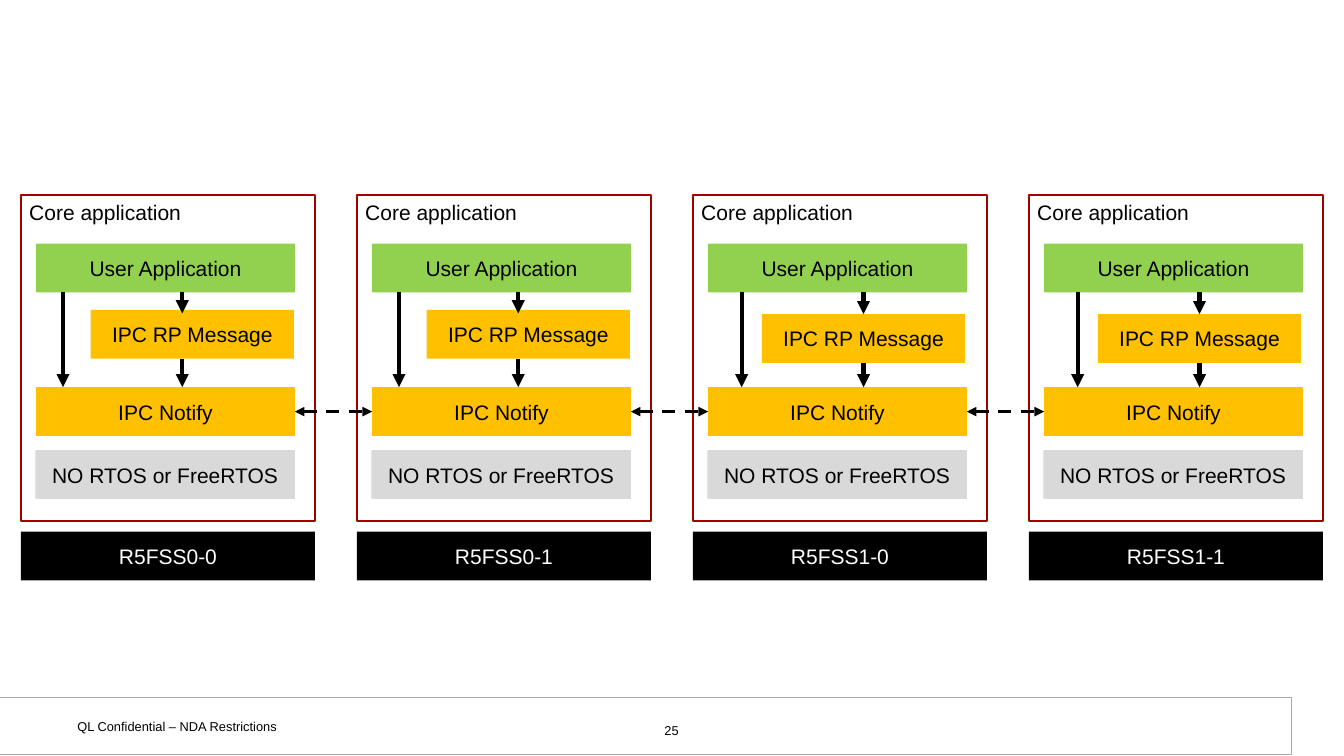
"""Build a slide of four cores whose IPC layers talk to each other."""
from pptx import Presentation
from pptx.dml.color import RGBColor
from pptx.enum import dml, shapes, text
from pptx.oxml import ns
from pptx.util import Inches, Pt
from lxml import etree

BLACK = RGBColor(0x00, 0x00, 0x00)
WHITE = RGBColor(0xFF, 0xFF, 0xFF)
RED = RGBColor(0xA4, 0x00, 0x00)
GREEN = RGBColor(0x92, 0xD0, 0x50)
AMBER = RGBColor(0xFF, 0xC0, 0x00)
GREY = RGBColor(0xD9, 0xD9, 0xD9)
RULE = RGBColor(0xAA, 0xAA, 0xAA)

deck = Presentation()
deck.slide_width, deck.slide_height = Inches(16), Inches(9)
slide = deck.slides.add_slide(deck.slide_layouts[6])


def box(x, y, w, h, fill, label="", ink=BLACK):
    shape = slide.shapes.add_shape(
        shapes.MSO_SHAPE.RECTANGLE, Inches(x), Inches(y), Inches(w), Inches(h))
    shape.shadow.inherit = False
    shape.fill.solid()
    shape.fill.fore_color.rgb = fill
    shape.line.fill.background()
    if label:
        shape.text_frame.text = label
        shape.text_frame.vertical_anchor = text.MSO_ANCHOR.MIDDLE
        line = shape.text_frame.paragraphs[0]
        line.alignment = text.PP_ALIGN.CENTER
        line.font.name, line.font.size = "Arial", Pt(18)
        line.font.color.rgb = ink
    return shape


def arrow(x1, y1, x2, y2, width, both=False):
    link = slide.shapes.add_connector(
        shapes.MSO_CONNECTOR.STRAIGHT, Inches(x1), Inches(y1), Inches(x2), Inches(y2))
    link.line.color.rgb = BLACK
    link.line.width = Pt(width)
    if both:
        link.line.dash_style = dml.MSO_LINE.DASH
    props = link.element.spPr
    stroke = props.find(ns.qn("a:ln"))
    for end in ["a:headEnd", "a:tailEnd"] if both else ["a:tailEnd"]:
        etree.SubElement(stroke, ns.qn(end), type="triangle")
    etree.SubElement(props, ns.qn("a:effectLst"))
    return link


footer = box(-0.03, 8.3, 15.4, 0.68, WHITE)
footer.line.color.rgb = RULE
footer.line.width = Pt(0.75)

for x, y, w, h, words, side in [
    (0.79, 8.48, 3.69, 0.32, "QL Confidential – NDA Restrictions", text.PP_ALIGN.LEFT),
    (6.13, 8.53, 3.73, 0.27, "25", text.PP_ALIGN.CENTER),
]:
    frame = slide.shapes.add_textbox(
        Inches(x), Inches(y), Inches(w), Inches(h)).text_frame
    frame.word_wrap = True
    frame.margin_left = frame.margin_right = Inches(0.13)
    frame.margin_top = frame.margin_bottom = Inches(0.07)
    frame.text = words
    note = frame.paragraphs[0]
    note.alignment = side
    note.font.name, note.font.size = "Arial", Pt(11)
    note.font.color.rgb = BLACK

last = None
for col, core in enumerate(["R5FSS0-0", "R5FSS0-1", "R5FSS1-0", "R5FSS1-1"]):
    x = 0.25 + 4 * col
    late = col > 1
    panel = box(x, 2.32, 3.5, 3.88, WHITE, "Core application")
    panel.line.color.rgb = RED
    panel.line.width = Pt(2)
    panel.text_frame.vertical_anchor = text.MSO_ANCHOR.TOP
    panel.text_frame.paragraphs[0].alignment = text.PP_ALIGN.LEFT

    box(x + 0.18, 2.9, 3.08, 0.58, GREEN, "User Application")
    notify = box(x + 0.18, 4.61, 3.08, 0.58, AMBER, "IPC Notify")
    top = 3.74 if late else 3.69
    message = box(x + (0.82 if late else 0.83), top, 2.42, 0.58, AMBER, "IPC RP Message")
    box(x + 0.17, 5.36, 3.09, 0.58, GREY, "NO RTOS or FreeRTOS")
    box(x, 6.33, 3.5, 0.58, BLACK, core, WHITE)

    far = x + (0.58 if late else 0.5)
    mid = x + (2.03 if late else 1.92)
    arrow(far, 3.48, far, 4.61, 3.75)
    upper = arrow(mid, 3.48, mid, 3.73, 3.75)
    lower = arrow(mid, top + 0.58, mid, 4.61, 3.75)
    if late:
        upper.end_connect(message, 0)
        lower.begin_connect(message, 2)
    if last:
        link = arrow(x - 0.74, 4.9, x + 0.18, 4.9, 2.75, both=True)
        link.begin_connect(last, 3)
        link.end_connect(notify, 1)
    last = notify

deck.save("out.pptx")
